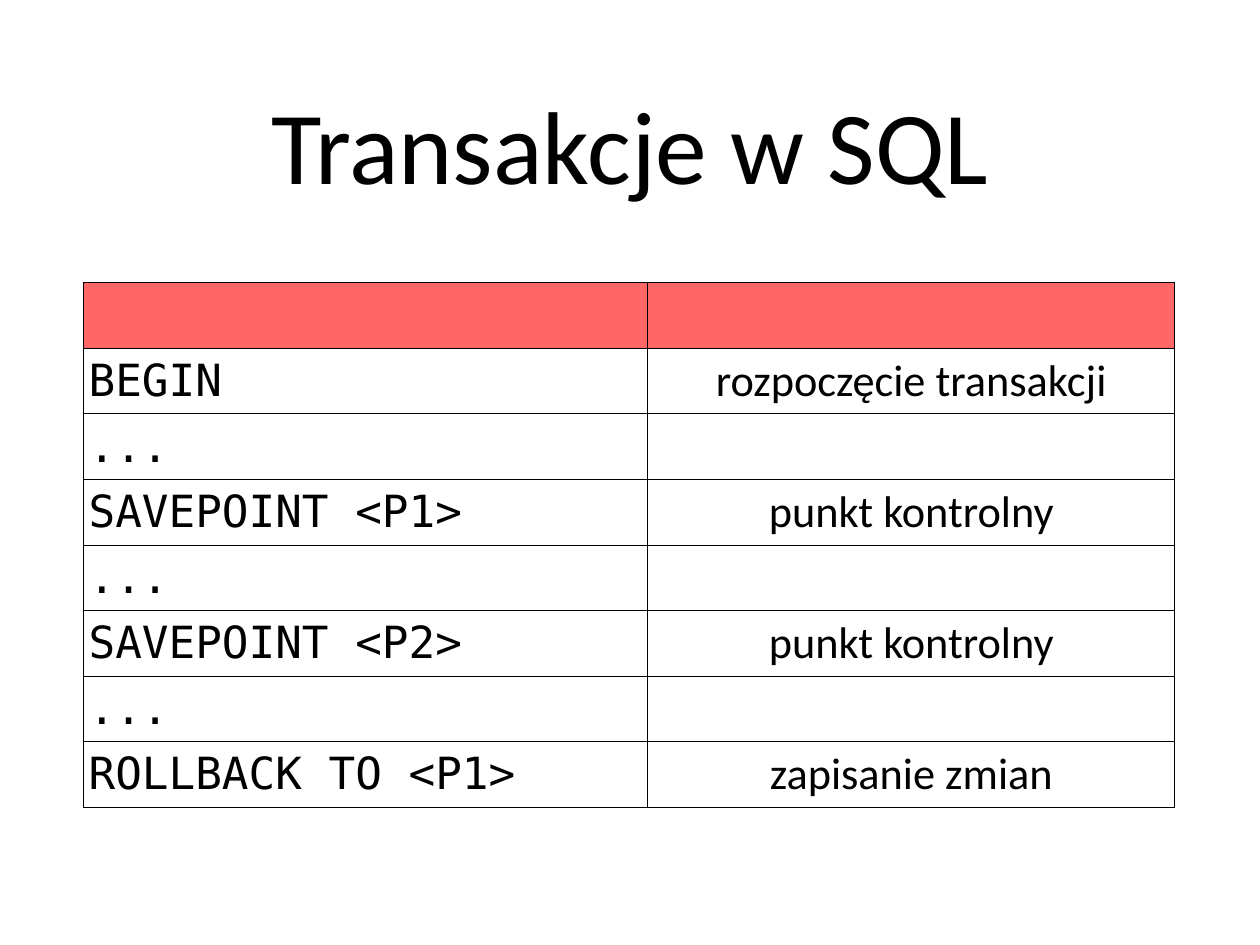
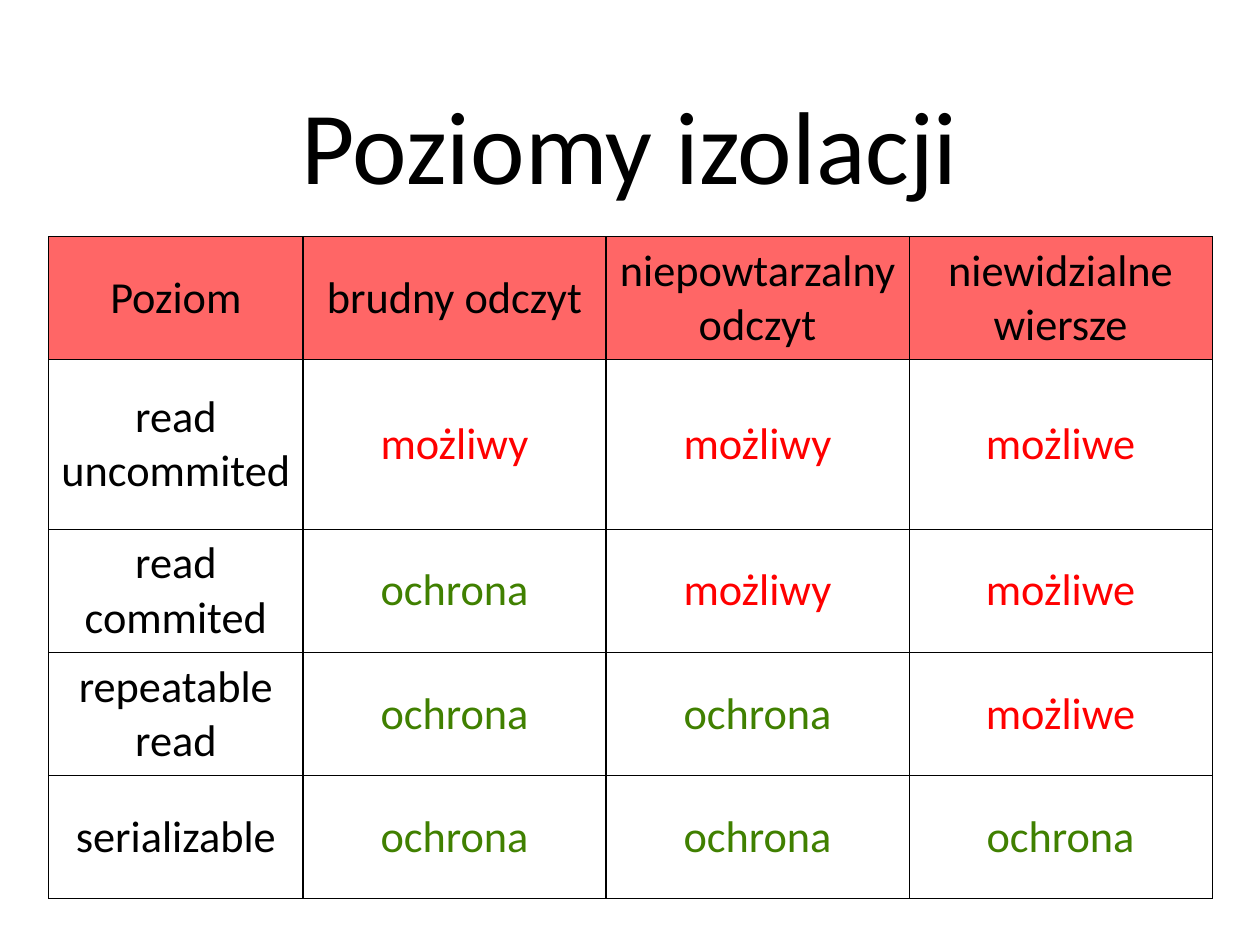
from dataclasses import dataclass

from lxml import etree
from pptx import Presentation
from pptx import util as u
from pptx.dml.color import RGBColor
from pptx.enum import text
from pptx.oxml import ns
from pptx.slide import Slide

PX = u.Inches(1) // 100
BLACK = RGBColor(0x00, 0x00, 0x00)
HEADER_RED = RGBColor(0xFF, 0x66, 0x66)
RISK_RED = RGBColor(0xFF, 0x00, 0x00)
SAFE_GREEN = RGBColor(0x40, 0x80, 0x00)
SANS = "Calibri"
MONO = "DejaVu Sans Mono"
TITLE_SIZE = u.Pt(84)
CELL_SIZE = u.Pt(36)
BORDER_WIDTH = u.Pt(0.96)
WORD_COLOURS = {"możliwy": RISK_RED, "możliwe": RISK_RED, "ochrona": SAFE_GREEN}


@dataclass(frozen=True)
class Grid:
    left: int
    top: int
    widths: list[int]
    heights: list[int]
    rows: list[list[str]]
    code_columns: tuple[int, ...] = ()


@dataclass(frozen=True)
class Page:
    title: str
    grid: Grid


PAGES = [
    Page("Transakcje w SQL", Grid(
        94, 319, [637, 595], [74] * 8,
        [
            ["", ""],
            ["BEGIN", "rozpoczęcie transakcji"],
            ["...", ""],
            ["SAVEPOINT <P1>", "punkt kontrolny"],
            ["...", ""],
            ["SAVEPOINT <P2>", "punkt kontrolny"],
            ["...", ""],
            ["ROLLBACK TO <P1>", "zapisanie zmian"],
        ],
        code_columns=(0,),
    )),
    Page("Poziomy izolacji", Grid(
        55, 267, [287] + [342] * 3, [139, 191, 139, 139, 139],
        [
            ["Poziom", "brudny odczyt", "niepowtarzalny odczyt", "niewidzialne wiersze"],
            ["read uncommited", "możliwy", "możliwy", "możliwe"],
            ["read commited", "ochrona", "możliwy", "możliwe"],
            ["repeatable read", "ochrona", "ochrona", "możliwe"],
            ["serializable", "ochrona", "ochrona", "ochrona"],
        ],
    )),
]


def style_paragraph(para, size: int, face: str, colour: RGBColor, centred: bool) -> None:
    para.alignment = text.PP_ALIGN.CENTER if centred else text.PP_ALIGN.LEFT
    for span in para.runs:
        span.font.size = size
        span.font.name = face
        span.font.color.rgb = colour


def set_margins(holder, across: int, down: int) -> None:
    holder.margin_left = holder.margin_right = across * PX
    holder.margin_top = holder.margin_bottom = down * PX


def add_borders(cell) -> None:
    properties = cell._tc.get_or_add_tcPr()
    for position, side in enumerate(("lnL", "lnR", "lnT", "lnB")):
        line = etree.Element(ns.qn(f"a:{side}"), w=str(BORDER_WIDTH))
        fill = etree.SubElement(line, ns.qn("a:solidFill"))
        etree.SubElement(fill, ns.qn("a:srgbClr"), val=str(BLACK))
        properties.insert(position, line)


def add_title(slide: Slide, title: str) -> None:
    box = slide.shapes.add_textbox(139 * PX, 28 * PX, 1144 * PX, 267 * PX)
    frame = box.text_frame
    frame.word_wrap = True
    frame.vertical_anchor = text.MSO_ANCHOR.MIDDLE
    set_margins(frame, 6, 6)
    frame.text = title
    style_paragraph(frame.paragraphs[0], TITLE_SIZE, SANS, BLACK, True)


def fill_cell(cell, words: str, is_header: bool, is_code: bool) -> None:
    cell.vertical_anchor = text.MSO_ANCHOR.MIDDLE
    set_margins(cell, 6, 5)
    if is_header:
        cell.fill.solid()
        cell.fill.fore_color.rgb = HEADER_RED
    else:
        cell.fill.background()
    add_borders(cell)
    if words:
        cell.text_frame.text = words
        style_paragraph(
            cell.text_frame.paragraphs[0], CELL_SIZE, MONO if is_code else SANS,
            WORD_COLOURS.get(words, BLACK), not is_code,
        )


def add_grid(slide: Slide, grid: Grid) -> None:
    table = slide.shapes.add_table(
        len(grid.heights), len(grid.widths), grid.left * PX, grid.top * PX,
        sum(grid.widths) * PX, sum(grid.heights) * PX,
    ).table
    table.first_row = False
    table.horz_banding = False
    for column, width in zip(table.columns, grid.widths):
        column.width = width * PX
    for row, height in zip(table.rows, grid.heights):
        row.height = height * PX
    for row_number, row_words in enumerate(grid.rows):
        for column_number, words in enumerate(row_words):
            fill_cell(
                table.cell(row_number, column_number), words,
                row_number == 0, column_number in grid.code_columns,
            )


def main() -> None:
    deck = Presentation()
    deck.slide_width = 1422 * PX
    deck.slide_height = 1066 * PX
    blank = deck.slide_layouts[6]
    for page in PAGES:
        slide = deck.slides.add_slide(blank)
        add_title(slide, page.title)
        add_grid(slide, page.grid)
    deck.save("out.pptx")


if __name__ == "__main__":
    main()
